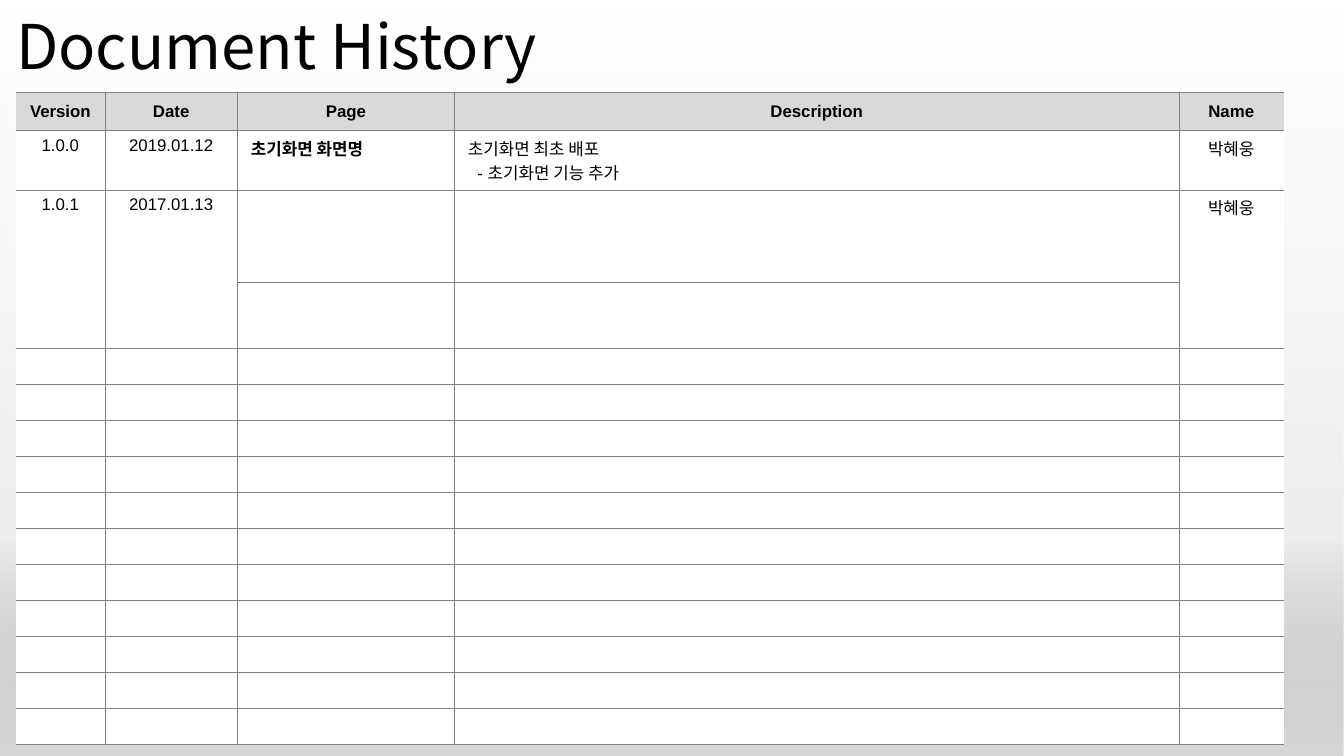
from dataclasses import dataclass

from lxml.etree import SubElement
from pptx import Presentation
from pptx.dml.color import RGBColor
from pptx.enum.shapes import MSO_SHAPE as Shape
from pptx.enum.text import MSO_ANCHOR as Anchor, MSO_AUTO_SIZE as Fit, PP_ALIGN as Align
from pptx.oxml import parse_xml
from pptx.oxml.ns import nsdecls, qn
from pptx.util import Cm, Pt

BLACK = RGBColor(0, 0, 0)
WHITE = RGBColor(0xFF, 0xFF, 0xFF)
PALE = RGBColor(0xED, 0xED, 0xED)
GREY = RGBColor(0xD9, 0xD9, 0xD9)
DARK = RGBColor(0x91, 0x91, 0x91)
RULE = RGBColor(0x80, 0x80, 0x80)
LATIN, HANGUL = "Arial", "Noto Sans CJK KR"
SIZE = Pt(9)


@dataclass
class Entry:
    """Text of one table cell."""
    row: int
    col: int
    text: str
    bold: bool = False
    align: Align = Align.CENTER


HEADS = ["Version", "Date", "Page", "Description", "Name"]
ENTRIES = [Entry(0, col, head, True) for col, head in enumerate(HEADS)] + [
    Entry(1, 0, "1.0.0"),
    Entry(1, 1, "2019.01.12"),
    Entry(1, 2, "초기화면 화면명", True, Align.LEFT),
    Entry(1, 3, "초기화면 최초 배포\n- 초기화면 기능 추가", False, Align.LEFT),
    Entry(1, 4, "박혜웅"),
    Entry(2, 0, "1.0.1"),
    Entry(2, 1, "2017.01.13"),
    Entry(2, 4, "박혜웅"),
]
COLS = [1.68, 2.51, 4.1, 13.69, 1.98]
ROWS = [0.72, 1.1, 1.74, 1.25] + [0.68] * 11
STOPS = [(0, WHITE, 100), (71, PALE, 100), (100, DARK, 35)]


def draw_back(slide, width: int, height: int) -> None:
    """Lay the grey fade behind everything else."""
    back = slide.shapes.add_shape(Shape.RECTANGLE, 0, 0, width, height)
    back.shadow.inherit = False
    back.line.fill.background()
    stops = "".join(
        f'<a:gs pos="{pos * 1000}"><a:srgbClr val="{color}">'
        f'<a:alpha val="{alpha * 1000}"/></a:srgbClr></a:gs>'
        for pos, color, alpha in STOPS)
    fade = parse_xml(f'<a:gradFill {nsdecls("a")} rotWithShape="1"><a:gsLst>{stops}'
                     '</a:gsLst><a:lin ang="5400000" scaled="0"/></a:gradFill>')
    back.element.spPr.find(qn("a:prstGeom")).addnext(fade)
    slide.shapes.element.insert(2, back.element)


def style_run(run, size: int, latin: str, bold: bool = False) -> None:
    """Set the font of a run for Latin and Hangul text."""
    font = run.font
    font.size, font.name, font.bold = size, latin, bold
    font.color.rgb = BLACK
    SubElement(run.font._element, qn("a:ea"), typeface=HANGUL)


def draw_title(slide) -> None:
    """Fill and place the title."""
    title = slide.shapes.title
    title.left, title.top = Cm(0.05), Cm(-0.05)
    title.width, title.height = Cm(21.9), Cm(1.98)
    frame = title.text_frame
    frame.text = "Document History"
    frame.auto_size = Fit.NONE
    frame.vertical_anchor = Anchor.MIDDLE
    line = frame.paragraphs[0]
    line.alignment = Align.LEFT
    line.line_spacing = 0.9
    style_run(line.runs[0], Pt(33), HANGUL)


def rule_cell(cell, col: int) -> None:
    """Draw thin cell borders, leaving the table's outer sides open."""
    props = cell._tc.get_or_add_tcPr()
    shown = {"L": col > 0, "R": col < len(COLS) - 1, "T": True, "B": True}
    for place, (side, seen) in enumerate(shown.items()):
        fill = (f'<a:solidFill><a:srgbClr val="{RULE}"/></a:solidFill>'
                if seen else "<a:noFill/>")
        props.insert(place, parse_xml(
            f'<a:ln{side} {nsdecls("a")} w="{Pt(0.25)}">{fill}</a:ln{side}>'))


def fill_cell(cell, entry: Entry) -> None:
    """Write an entry into its cell."""
    cell.text_frame.text = entry.text
    for line in cell.text_frame.paragraphs:
        line.alignment = entry.align
        style_run(line.runs[0], SIZE, LATIN, entry.bold)
        if line.text.startswith("-"):
            line._p.get_or_add_pPr().set("marL", str(Cm(0.18)))


def draw_table(slide) -> None:
    """Build the version table."""
    table = slide.shapes.add_table(
        len(ROWS), len(COLS), Cm(0.3), Cm(1.75),
        Cm(sum(COLS)), Cm(sum(ROWS))).table
    table.first_row = table.horz_banding = False
    for col, width in zip(table.columns, COLS):
        col.width = Cm(width)
    for row, height in zip(table.rows, ROWS):
        row.height = Cm(height)
    texts = {(entry.row, entry.col): entry for entry in ENTRIES}
    for row in range(len(ROWS)):
        for col in range(len(COLS)):
            cell = table.cell(row, col)
            cell.margin_top = cell.margin_bottom = Cm(0.1)
            cell.vertical_anchor = Anchor.TOP if row else Anchor.MIDDLE
            cell.fill.solid()
            cell.fill.fore_color.rgb = WHITE if row else GREY
            rule_cell(cell, col)
            if (row, col) in texts:
                fill_cell(cell, texts[row, col])
            else:
                line = cell.text_frame.paragraphs[0]
                SubElement(line._p, qn("a:endParaRPr"), sz=str(int(SIZE.pt * 100)))
    for col in (0, 1, 4):
        table.cell(2, col).merge(table.cell(3, col))


def main() -> None:
    """Build and save the slide."""
    deck = Presentation()
    deck.slide_width, deck.slide_height = Cm(25.4), Cm(14.29)
    slide = deck.slides.add_slide(deck.slide_layouts[5])
    draw_back(slide, deck.slide_width, deck.slide_height)
    draw_title(slide)
    draw_table(slide)
    deck.save("out.pptx")


main()
